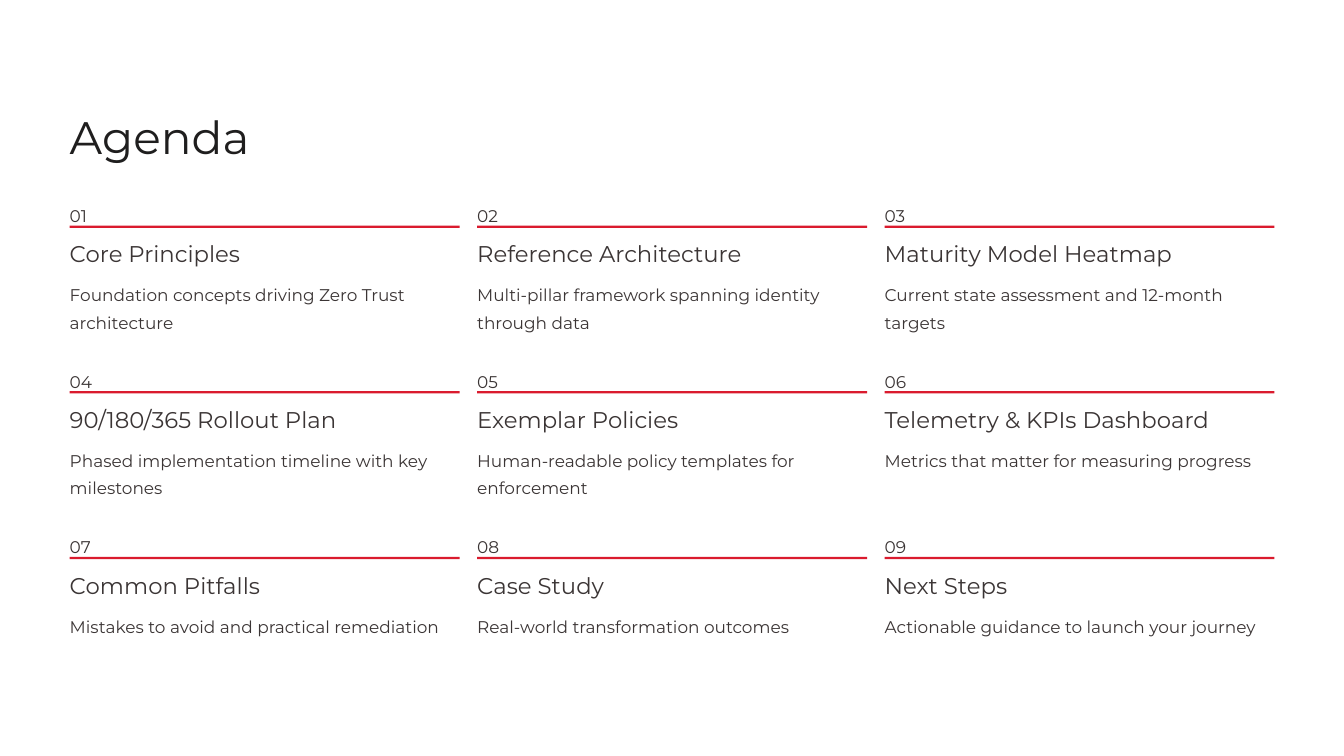
"""Build the agenda slide: a title above a three-column grid of numbered topics."""
from dataclasses import dataclass

from pptx import Presentation
from pptx import util as u
from pptx.dml.color import RGBColor
from pptx.enum import shapes, text

TITLE = "Agenda"
TOPICS = [
    ("Core Principles", 6.93, "Foundation concepts driving Zero Trust architecture", 2),
    ("Reference Architecture", 8.31, "Multi-pillar framework spanning identity through data", 2),
    ("Maturity Model Heatmap", 8.81, "Current state assessment and 12-month targets", 2),
    ("90/180/365 Rollout Plan", 8.56, "Phased implementation timeline with key milestones", 2),
    ("Exemplar Policies", 6.93, "Human-readable policy templates for enforcement", 2),
    ("Telemetry & KPIs Dashboard", 9.96, "Metrics that matter for measuring progress", 1),
    ("Common Pitfalls", 6.93, "Mistakes to avoid and practical remediation", 1),
    ("Case Study", 6.93, "Real-world transformation outcomes", 1),
    ("Next Steps", 6.93, "Actionable guidance to launch your journey", 1),
]


@dataclass(frozen=True)
class Theme:
    """Font, colours, and (size, line spacing) pairs in points."""
    font: str = "Montserrat"
    white: str = "FFFFFF"
    ink: str = "1F1E1E"
    body: str = "3B3535"
    accent: str = "DA1B2E"
    title: tuple = (39, 49)
    heading: tuple = (19.5, 24.5)
    small: tuple = (14.5, 23.5)


THEME = Theme()
COLUMNS = 3
LEFT, TOP = 2.11, 6.0
COLUMN_W, COLUMN_STEP, ROW_STEP = 11.79, 12.32, 5.01
RULE_DY, HEADING_DY, DESCRIPTION_DY = 0.82, 1.22, 2.4
NUMBER_W, NUMBER_H, HEADING_H = 0.8, 0.66, 0.86
RULE_H, LINE_H = 0.07, 0.84


def add_text(s, content, x, y, w, h, style, color=THEME.body, wrap=False):
    sp = s.shapes.add_textbox(u.Cm(x), u.Cm(y), u.Cm(w), u.Cm(h))
    tf = sp.text_frame
    tf.margin_left = tf.margin_top = tf.margin_right = tf.margin_bottom = 0
    tf.word_wrap = wrap
    tf.vertical_anchor = text.MSO_ANCHOR.TOP
    size, spacing = style
    p = tf.paragraphs[0]
    p.alignment = text.PP_ALIGN.LEFT
    p.line_spacing = u.Pt(spacing)
    r = p.add_run()
    r.text = content
    r.font.name = THEME.font
    r.font.size = u.Pt(size)
    r.font.color.rgb = RGBColor.from_string(color)


def add_rule(s, x, y):
    sp = s.shapes.add_shape(shapes.MSO_SHAPE.RECTANGLE,
                            u.Cm(x), u.Cm(y), u.Cm(COLUMN_W), u.Cm(RULE_H))
    sp.shadow.inherit = False
    sp.fill.solid()
    sp.fill.fore_color.rgb = RGBColor.from_string(THEME.accent)
    sp.line.fill.background()


def add_topic(s, index, heading, heading_w, description, lines):
    row, column = divmod(index, COLUMNS)
    x, y = LEFT + column * COLUMN_STEP, TOP + row * ROW_STEP
    add_text(s, f"{index + 1:02d}", x, y, NUMBER_W, NUMBER_H, THEME.small)
    add_rule(s, x, y + RULE_DY)
    add_text(s, heading, x, y + HEADING_DY, heading_w, HEADING_H, THEME.heading)
    add_text(s, description, x, y + DESCRIPTION_DY, COLUMN_W, lines * LINE_H,
             THEME.small, wrap=lines > 1)


def main():
    prs = Presentation()
    prs.slide_width, prs.slide_height = u.Cm(40.64), u.Cm(22.86)
    s = prs.slides.add_slide(prs.slide_layouts[6])
    s.background.fill.solid()
    s.background.fill.fore_color.rgb = RGBColor.from_string(THEME.white)
    add_text(s, TITLE, LEFT, 3.21, 13.87, 1.73, THEME.title, THEME.ink)
    for index, topic in enumerate(TOPICS):
        add_topic(s, index, *topic)
    prs.save("out.pptx")


if __name__ == "__main__":
    main()
